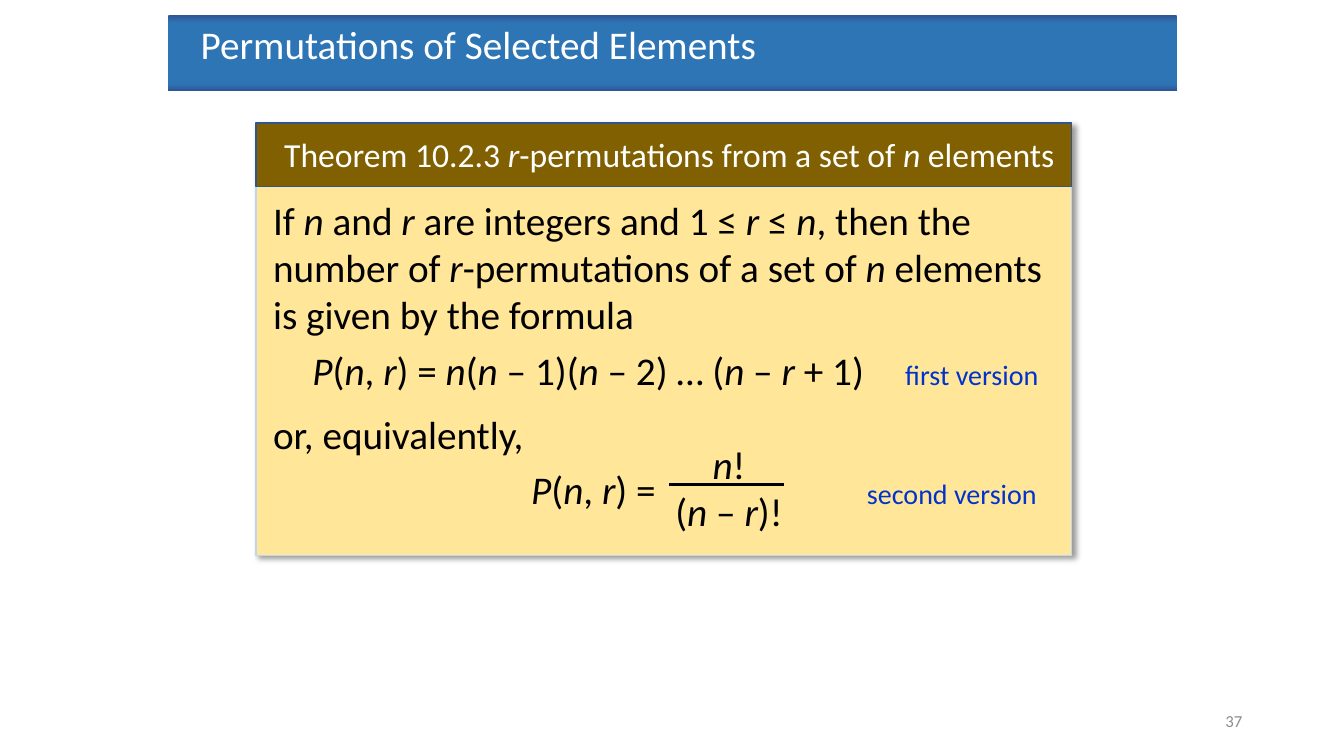
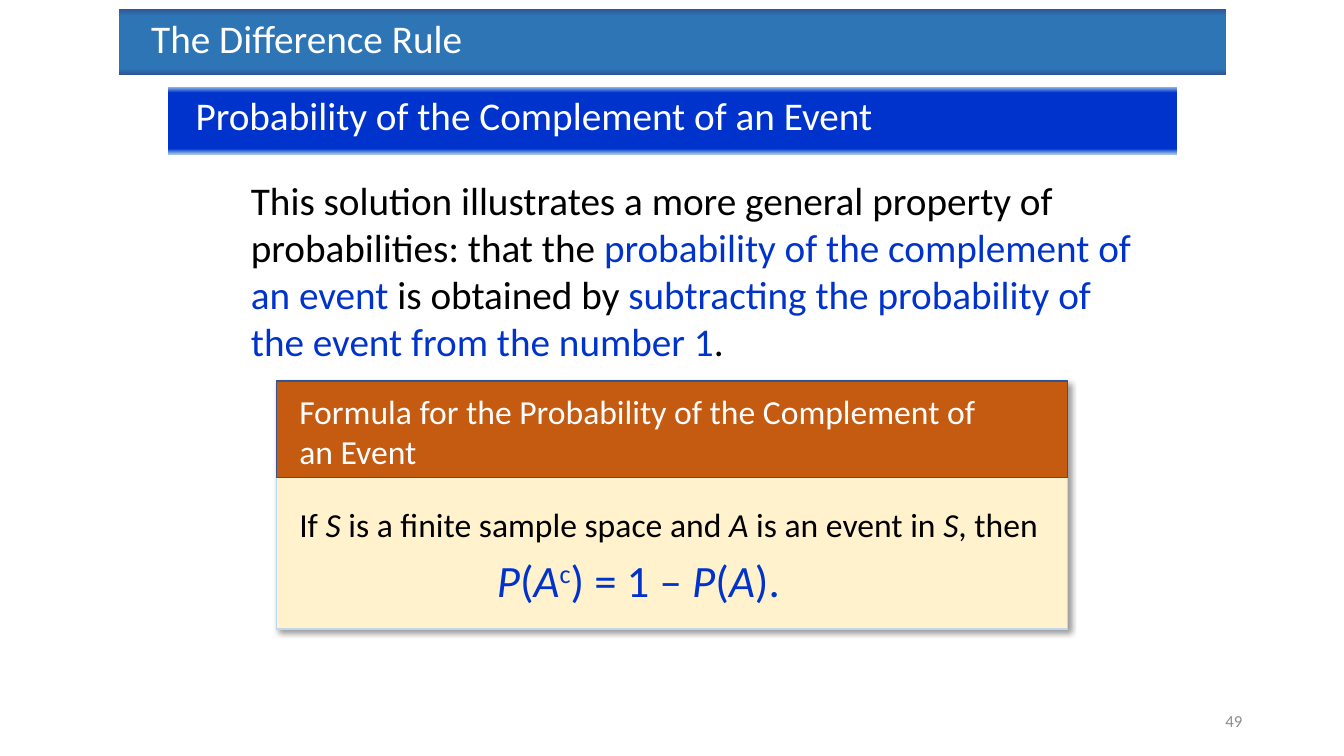
from dataclasses import dataclass
from typing import NamedTuple, Optional

from lxml.etree import SubElement
from pptx import Presentation
from pptx.dml.color import RGBColor
from pptx.enum.shapes import MSO_CONNECTOR as Connector, MSO_SHAPE as Preset
from pptx.enum.text import MSO_ANCHOR as Anchor, MSO_AUTO_SIZE as AutoSize, PP_ALIGN as Align
from pptx.oxml.ns import qn
from pptx.util import Inches, Pt

FONT = "Calibri"
BLACK, WHITE, GREY = "000000", "FFFFFF", "8C8C8C"
BLUE, ROYAL, NAVY, SKY = "2E75B6", "0033CC", "2F5597", "9DC3E6"
CARD_EDGE, HEADER_EDGE = "BDD7EE", "325491"


class Box(NamedTuple):
    """A place on the slide, in inches."""
    left: float
    top: float
    width: float
    height: float

    def lengths(self) -> tuple:
        """Return the four values as lengths."""
        return tuple(Inches(value) for value in self)


@dataclass(frozen=True)
class Span:
    """A piece of text, with *italic* parts, that may differ from its paragraph."""
    text: str
    color: Optional[str] = None
    size: Optional[float] = None
    raised: bool = False


@dataclass(frozen=True)
class Para:
    """A paragraph with its spacing in points and its tab stops in inches."""
    spans: tuple
    size: float = 28
    color: str = BLACK
    align: Align = Align.LEFT
    before: float = 0
    after: float = 0
    tabs: tuple = ()


@dataclass(frozen=True)
class Band:
    """A heading band whose upper and lower edges fade to another colour."""
    box: Box
    text: str
    core: str = BLUE
    edge: str = NAVY
    fade: tuple = (11, 91)
    indent: float = 0.32


@dataclass(frozen=True)
class Card:
    """A shadowed panel with a coloured header."""
    box: Box
    header_height: float
    fill: str
    header_fill: str


def rgb(color: str) -> RGBColor:
    """Turn a hex string into a colour."""
    return RGBColor.from_string(color)


def write(frame, paras: tuple) -> None:
    """Fill a text frame with paragraphs."""
    frame.word_wrap = True
    for index, para in enumerate(paras):
        paragraph = frame.add_paragraph() if index else frame.paragraphs[0]
        paragraph.alignment = para.align
        paragraph.space_before = Pt(para.before)
        paragraph.space_after = Pt(para.after)
        if para.tabs:
            tab_list = SubElement(paragraph._p.get_or_add_pPr(), qn("a:tabLst"))
            for tab in para.tabs:
                SubElement(tab_list, qn("a:tab"), pos=str(Inches(tab)), algn="l")
        paragraph.font.name = FONT
        paragraph.font.size = Pt(para.size)
        paragraph.font.color.rgb = rgb(para.color)
        for span in para.spans:
            add_span(paragraph, span)


def add_span(paragraph, span: Span) -> None:
    """Add one run for each upright or italic part of a span."""
    for index, part in enumerate(span.text.split("*")):
        if not part:
            continue
        run = paragraph.add_run()
        run.text = part
        if index % 2:
            run.font.italic = True
        if span.color:
            run.font.color.rgb = rgb(span.color)
        if span.size:
            run.font.size = Pt(span.size)
        if span.raised:
            run.font._element.set("baseline", "30000")


def add_text(slide, box: Box, *paras: Para):
    """Add a text box and return its frame."""
    frame = slide.shapes.add_textbox(*box.lengths()).text_frame
    write(frame, paras)
    return frame


def add_rectangle(slide, box: Box):
    """Add a rectangle without a shadow."""
    shape = slide.shapes.add_shape(Preset.RECTANGLE, *box.lengths())
    shape.shadow.inherit = False
    return shape


def format_band(shape, band: Band) -> None:
    """Place, fill and letter a heading band."""
    shape.left, shape.top, shape.width, shape.height = band.box.lengths()
    shape.line.fill.background()
    shape.fill.gradient()
    shape.fill.gradient_angle = 270
    stops = shape._element.spPr.find(".//" + qn("a:gsLst"))
    for stop in list(stops):
        stops.remove(stop)
    start, end = band.fade
    for position, color in ((0, band.edge), (start, band.core), (end, band.core), (100, band.edge)):
        stop = SubElement(stops, qn("a:gs"), pos=str(position * 1000))
        SubElement(stop, qn("a:srgbClr"), val=color)
    frame = shape.text_frame
    frame.auto_size = AutoSize.NONE
    frame.vertical_anchor = Anchor.TOP
    frame.margin_left = Inches(band.indent)
    write(frame, (Para((Span(band.text),), color=WHITE),))


def add_card(slide, card: Card) -> None:
    """Draw the panel, its shadow and its header."""
    header = card.box._replace(height=card.header_height)
    parts = ((card.box, card.fill, CARD_EDGE), (header, card.header_fill, HEADER_EDGE))
    for box, fill, edge in parts:
        shape = add_rectangle(slide, box)
        shape.fill.solid()
        shape.fill.fore_color.rgb = rgb(fill)
        shape.line.color.rgb = rgb(edge)
        shape.line.width = Pt(1)
        if box is card.box:
            effects = shape._element.spPr.find(qn("a:effectLst"))
            shadow = SubElement(effects, qn("a:outerShdw"), blurRad=str(Pt(4)), dist=str(Pt(3)),
                                dir=str(45 * 60000), algn="tl", rotWithShape="0")
            color = SubElement(shadow, qn("a:srgbClr"), val=BLACK)
            SubElement(color, qn("a:alpha"), val="40000")


def add_rule(slide, left: float, right: float, top: float) -> None:
    """Draw a horizontal fraction bar."""
    rule = slide.shapes.add_connector(Connector.STRAIGHT, Inches(left), Inches(top),
                                      Inches(right), Inches(top))
    rule.line.color.rgb = rgb(BLACK)
    rule.line.width = Pt(2.25)
    SubElement(rule._element.spPr, qn("a:effectLst"))


def start_slide(presentation, title: Band, number: int):
    """Add a slide with its title band and page number."""
    slide = presentation.slides.add_slide(presentation.slide_layouts[5])
    format_band(slide.shapes.title, title)
    page = Para((Span(str(number)),), size=12, color=GREY, align=Align.RIGHT)
    add_text(slide, Box(9.42, 6.95, 3, 0.4), page).vertical_anchor = Anchor.MIDDLE
    return slide


def build_permutations(presentation) -> None:
    """Build the slide with the theorem on r-permutations."""
    slide = start_slide(presentation, Band(Box(1.67, 0.15, 10, 0.75),
                                           "Permutations of Selected Elements"), 37)
    add_card(slide, Card(Box(2.54, 1.22, 8.09, 4.29), 0.63, "FFE699", "806000"))
    add_text(slide, Box(2.72, 1.28, 7.98, 0.5), Para(
        (Span("Theorem 10.2.3 *r*-permutations from a set of *n* elements"),), 24, WHITE))
    add_text(
        slide, Box(2.61, 1.9, 7.92, 3.26),
        Para((Span("If *n* and *r* are integers and 1 ≤ *r* ≤ *n*, then the number of "
                   "*r*-permutations of a set of *n* elements is given by the formula"),), after=6),
        Para((Span("\t*P*(*n*, *r*) = *n*(*n* – 1)(*n* – 2) … (*n* – *r* + 1) \t"),
              Span("first version", ROYAL, 20)), tabs=(0.39, 6.27)),
        Para((Span("or, equivalently,"),), before=12, after=6),
        Para((Span("\t*P*(*n*, *r*) =\t"), Span("second version", ROYAL, 20)),
             after=6, tabs=(2.56, 5.89)))
    add_text(slide, Box(6.57, 4.32, 1.32, 1.04),
             *(Para((Span(text),), align=Align.CENTER) for text in ("*n*!", "(*n* – *r*)!")))
    add_rule(slide, 6.64, 7.78, 4.81)


def build_complement(presentation) -> None:
    """Build the slide with the complement formula."""
    slide = start_slide(presentation, Band(Box(1.18, 0.09, 10.98, 0.65),
                                           "The Difference Rule"), 49)
    subtitle = Band(Box(1.67, 0.86, 10, 0.67), "Probability of the Complement of an Event",
                    ROYAL, SKY, (9, 92), 0.27)
    format_band(add_rectangle(slide, subtitle.box), subtitle)
    add_text(slide, Box(2.39, 1.7, 8.99, 1.9), Para((
        Span("This solution illustrates a more general property of probabilities: that the "),
        Span("probability of the complement of an event", ROYAL),
        Span(" is obtained by "),
        Span("subtracting the probability of the event from the number 1", ROYAL),
        Span("."))))
    add_card(slide, Card(Box(2.74, 3.78, 7.85, 2.46), 0.96, "FFF2CC", "C55A11"))
    add_text(slide, Box(2.87, 3.83, 7.1, 0.91), Para(
        (Span("Formula for the Probability of the Complement of an Event"),), 24, WHITE))
    add_text(
        slide, Box(2.87, 4.95, 7.57, 1.13),
        Para((Span("If *S* is a finite sample space and *A* is an event in *S*, then"),),
             24, after=6),
        Para((Span("\t*P*(*A*"), Span("c", raised=True), Span(") = 1 – *P*(*A*).")),
             32, ROYAL, tabs=(1.96,)))


def main() -> None:
    """Build and save the presentation."""
    presentation = Presentation()
    presentation.slide_width, presentation.slide_height = Inches(13.33), Inches(7.5)
    build_permutations(presentation)
    build_complement(presentation)
    presentation.save("out.pptx")


if __name__ == "__main__":
    main()
